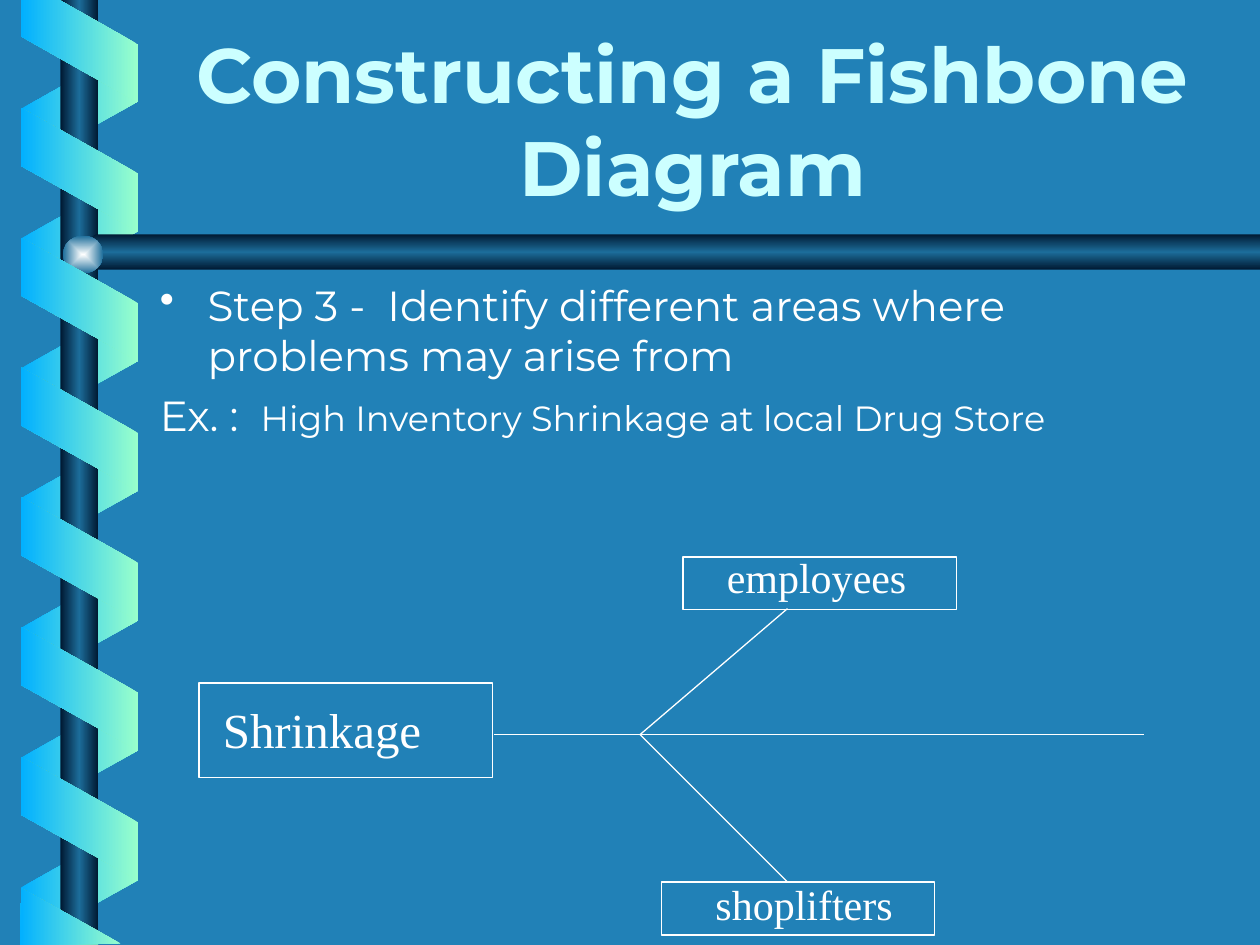
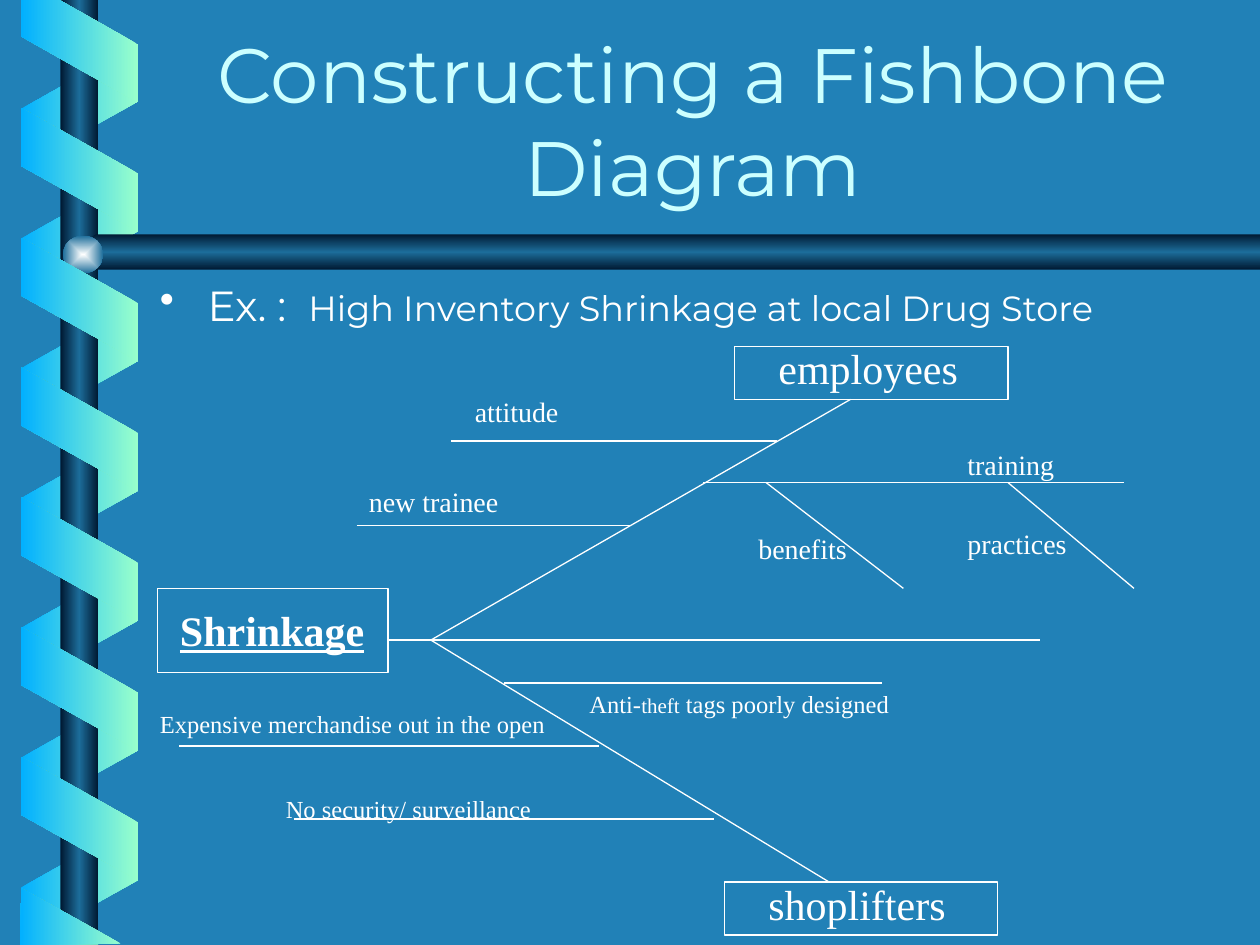
from dataclasses import dataclass

import pptx
import pptx.dml.color
import pptx.enum.shapes
import pptx.enum.text
import pptx.oxml
import pptx.oxml.ns
import pptx.util


@dataclass(frozen=True)
class Theme:
    background: str = "2181B7"
    title: str = "CCFFFF"
    ink: str = "FFFFFF"
    ribbon: tuple = ((0, "99FFCC"), (100, "01B0FF"))
    tube: tuple = ((0, "001932"), (50, "1C6D9A"), (100, "001932"))
    ball: tuple = ((0, "FEFFFF"), (100, "1C6D9A"))
    heading_font: str = "Montserrat"
    label_font: str = "Times New Roman"
    title_size: int = 44
    body_size: int = 24
    example_size: int = 20
    problem_size: int = 28
    area_size: int = 24
    cause_size: int = 16
    detail_size: int = 14
    small_size: int = 12
    line_width: float = 0.75


THEME = Theme()
CM_PER_INCH = 2.54
SHAPE = pptx.enum.shapes.MSO_SHAPE
ALIGN = pptx.enum.text.PP_ALIGN
ANCHOR = pptx.enum.text.MSO_ANCHOR

TITLE = "Constructing a Fishbone Diagram"
TITLE_AT = (1.25, 0.16, 8.5, 1.57)
BODY_AT = (1.17, 2.17, 8.58, 4.5)
EXAMPLE = [("Ex. :  ", THEME.body_size),
           ("High Inventory Shrinkage at local Drug Store", THEME.example_size)]
STEP = [("Step 3 -  Identify different areas where problems may arise from", THEME.body_size)]

COIL_LEFT, COIL_WIDTH, COIL_HEIGHT = 0.14, 0.98, 0.93
COIL_PITCH, COIL_SLANT = 1.03, 0.56
BACK_COILS = (0.37, 7)
FRONT_COILS = (0.88, 6)
POLE_AT = (0.48, 0, 0.3, 7.5)
BALL_AT = (0.5, 1.87, 0.32, 0.3)
BAR = [(10, 1.86), (0.76, 1.86), (0.6, 2), (0.76, 2.14), (10, 2.14)]
COIL_TOP = [(0.17, 0), (0.17, 0.29), (1.09, 0.81), (1.09, 0.35), (0.47, 0)]
COIL_BOTTOM = [(0.96, 7.49), (0.17, 7.05), (0.16, 7.5)]

AREA_BOX = (2.17, 0.42)
AREA, CAUSE, DETAIL = THEME.area_size, THEME.cause_size, THEME.detail_size

SLIDES = [
    {
        "title_bold": True,
        "body": [STEP, EXAMPLE],
        "problem": {"at": (1.67, 5.5, 2.08, 0.57), "size": THEME.problem_size},
        "boxes": [(1.58, 5.42, 2.33, 0.75), (5.42, 4.42, *AREA_BOX), (5.25, 7, *AREA_BOX)],
        "bones": [
            (3.92, 5.83, 9.08, 5.83),
            (5.08, 5.83, 6.25, 4.83),
            (5.08, 5.83, 6.25, 7),
        ],
        "labels": [
            ("employees", AREA, (5.67, 4.33, 2.08, 0.5)),
            ("shoplifters", AREA, (5.58, 6.92, 2.17, 0.5)),
        ],
    },
    {
        "title_bold": False,
        "body": [EXAMPLE],
        "problem": {"at": (1.33, 4.75, 2.08, 0.5), "size": THEME.area_size,
                    "bold": True, "underline": True},
        "boxes": [(1.25, 4.67, 1.83, 0.67), (5.83, 2.75, *AREA_BOX), (5.75, 7, *AREA_BOX)],
        "bones": [
            (3.08, 5.08, 8.25, 5.08),
            (3.42, 5.08, 6.75, 3.17),
            (3.42, 5.08, 6.58, 7),
            (3.58, 3.5, 6.17, 3.5),
            (2.83, 4.17, 5, 4.17),
            (8.92, 3.83, 5.58, 3.83),
            (6.08, 3.83, 7.17, 4.67),
            (8, 3.83, 9, 4.67),
            (7, 5.42, 4, 5.42),
            (4.75, 5.92, 1.42, 5.92),
            (2.33, 6.5, 5.67, 6.5),
        ],
        "labels": [
            ("employees", AREA, (6.08, 2.67, 2.17, 0.5)),
            ("shoplifters", AREA, (6, 6.92, 2.17, 0.5)),
            ("attitude", CAUSE, (3.67, 3.08, 1.33, 0.37)),
            ("new trainee", CAUSE, (2.83, 3.8, 1.33, 0.37)),
            ("training", CAUSE, (7.58, 3.5, 1.33, 0.37)),
            ("benefits", CAUSE, (5.92, 4.17, 1.25, 0.37)),
            ("practices", CAUSE, (7.58, 4.13, 1.25, 0.37)),
            ([[("Anti-", DETAIL), ("theft", THEME.small_size), (" tags poorly designed", DETAIL)]],
             DETAIL, (4.58, 5.42, 4, 0.34)),
            ("Expensive merchandise out in the open", DETAIL, (1.17, 5.58, 3.42, 0.34)),
            ("No security/ surveillance", DETAIL, (2.17, 6.25, 3.17, 0.69)),
        ],
    },
]


def lengths(values):
    return [pptx.util.Cm(value * CM_PER_INCH) for value in values]


def rgb(code):
    return pptx.dml.color.RGBColor.from_string(code)


def write(slide, text, at, size=None, font=THEME.label_font, color=THEME.ink, bold=False,
          underline=False, align=ALIGN.LEFT, anchor=ANCHOR.TOP, hanging=0, bullet=None,
          space_before=0):
    frame = slide.shapes.add_textbox(*lengths(at)).text_frame
    frame.word_wrap = True
    frame.vertical_anchor = anchor
    paragraphs = [[(text, size)]] if isinstance(text, str) else text
    for index, runs in enumerate(paragraphs):
        paragraph = frame.paragraphs[0] if index == 0 else frame.add_paragraph()
        paragraph.alignment = align
        if index:
            paragraph.space_before = pptx.util.Pt(space_before)
        if hanging:
            indent, = lengths([hanging])
            properties = paragraph._p.get_or_add_pPr()
            properties.set("marL", str(indent))
            properties.set("indent", str(-indent))
        if bullet and index == 0:
            mark = pptx.oxml.parse_xml(
                f'<a:buChar {pptx.oxml.ns.nsdecls("a")} char="{bullet}"/>')
            properties.append(mark)
        for words, points in runs:
            run = paragraph.add_run()
            run.text = words
            run.font.name = font
            run.font.size = pptx.util.Pt(points)
            run.font.bold = bold
            run.font.underline = underline
            run.font.color.rgb = rgb(color)


def shade(shape, stops, direction):
    shape.shadow.inherit = False
    shape.line.fill.background()
    shape.fill.background()
    colors = "".join(f'<a:gs pos="{place * 1000}"><a:srgbClr val="{code}"/></a:gs>'
                     for place, code in stops)
    gradient = pptx.oxml.parse_xml(
        f'<a:gradFill {pptx.oxml.ns.nsdecls("a")} rotWithShape="0">'
        f'<a:gsLst>{colors}</a:gsLst>{direction}</a:gradFill>')
    properties = shape.element.spPr
    properties.replace(properties.find(pptx.oxml.ns.qn("a:noFill")), gradient)


def linear(degrees):
    return f'<a:lin ang="{degrees * 60000}" scaled="0"/>'


def add_outline(slide, points, stops, direction):
    start, *rest = [lengths(point) for point in points]
    builder = slide.shapes.build_freeform(*start, scale=1.0)
    builder.add_line_segments(rest, close=True)
    shade(builder.convert_to_shape(), stops, direction)


def add_preset(slide, kind, at, stops, direction):
    shape = slide.shapes.add_shape(kind, *lengths(at))
    shade(shape, stops, direction)
    return shape


def add_coils(slide, first_top, count, rotation, mirrored):
    colors = [code for _, code in THEME.ribbon]
    stops = list(zip((0, 100), reversed(colors) if mirrored else colors))
    for turn in range(count):
        at = (COIL_LEFT, first_top + turn * COIL_PITCH, COIL_WIDTH, COIL_HEIGHT)
        coil = add_preset(slide, SHAPE.PARALLELOGRAM, at, stops, linear(180))
        coil.adjustments[0] = COIL_SLANT
        coil.rotation = rotation
        if mirrored:
            coil.element.spPr.xfrm.set("flipH", "1")


def decorate(slide):
    add_coils(slide, *BACK_COILS, rotation=90, mirrored=True)
    add_preset(slide, SHAPE.RECTANGLE, POLE_AT, THEME.tube, linear(180))
    add_outline(slide, BAR, THEME.tube, linear(90))
    center = '<a:path path="rect"><a:fillToRect l="50000" t="50000" r="50000" b="50000"/></a:path>'
    add_preset(slide, SHAPE.OVAL, BALL_AT, THEME.ball, center)
    add_coils(slide, *FRONT_COILS, rotation=270, mirrored=False)
    for end in (COIL_TOP, COIL_BOTTOM):
        add_outline(slide, end, THEME.ribbon, linear(180))


def stroke(line):
    line.color.rgb = rgb(THEME.ink)
    line.width = pptx.util.Pt(THEME.line_width)


def add_box(slide, at):
    box = slide.shapes.add_shape(SHAPE.RECTANGLE, *lengths(at))
    box.shadow.inherit = False
    box.fill.background()
    stroke(box.line)


def add_bone(slide, ends):
    bone = slide.shapes.add_connector(
        pptx.enum.shapes.MSO_CONNECTOR.STRAIGHT, *lengths(ends))
    stroke(bone.line)
    bone.element.spPr.append(
        pptx.oxml.parse_xml(f'<a:effectLst {pptx.oxml.ns.nsdecls("a")}/>'))


def build(deck, content):
    slide = deck.slides.add_slide(deck.slide_layouts[6])
    decorate(slide)
    write(slide, TITLE, TITLE_AT, size=THEME.title_size, font=THEME.heading_font,
          color=THEME.title, bold=content["title_bold"], align=ALIGN.CENTER,
          anchor=ANCHOR.BOTTOM)
    write(slide, content["body"], BODY_AT, font=THEME.heading_font, hanging=0.38,
          bullet="•", space_before=5)
    for box in content["boxes"]:
        add_box(slide, box)
    for bone in content["bones"]:
        add_bone(slide, bone)
    write(slide, "Shrinkage", **content["problem"])
    for text, size, at in content["labels"]:
        write(slide, text, at, size=size)


def main():
    deck = pptx.Presentation()
    deck.slide_width, deck.slide_height = lengths((10, 7.5))
    backdrop = deck.slide_master.background.fill
    backdrop.solid()
    backdrop.fore_color.rgb = rgb(THEME.background)
    for content in SLIDES:
        build(deck, content)
    deck.save("out.pptx")


if __name__ == "__main__":
    main()
